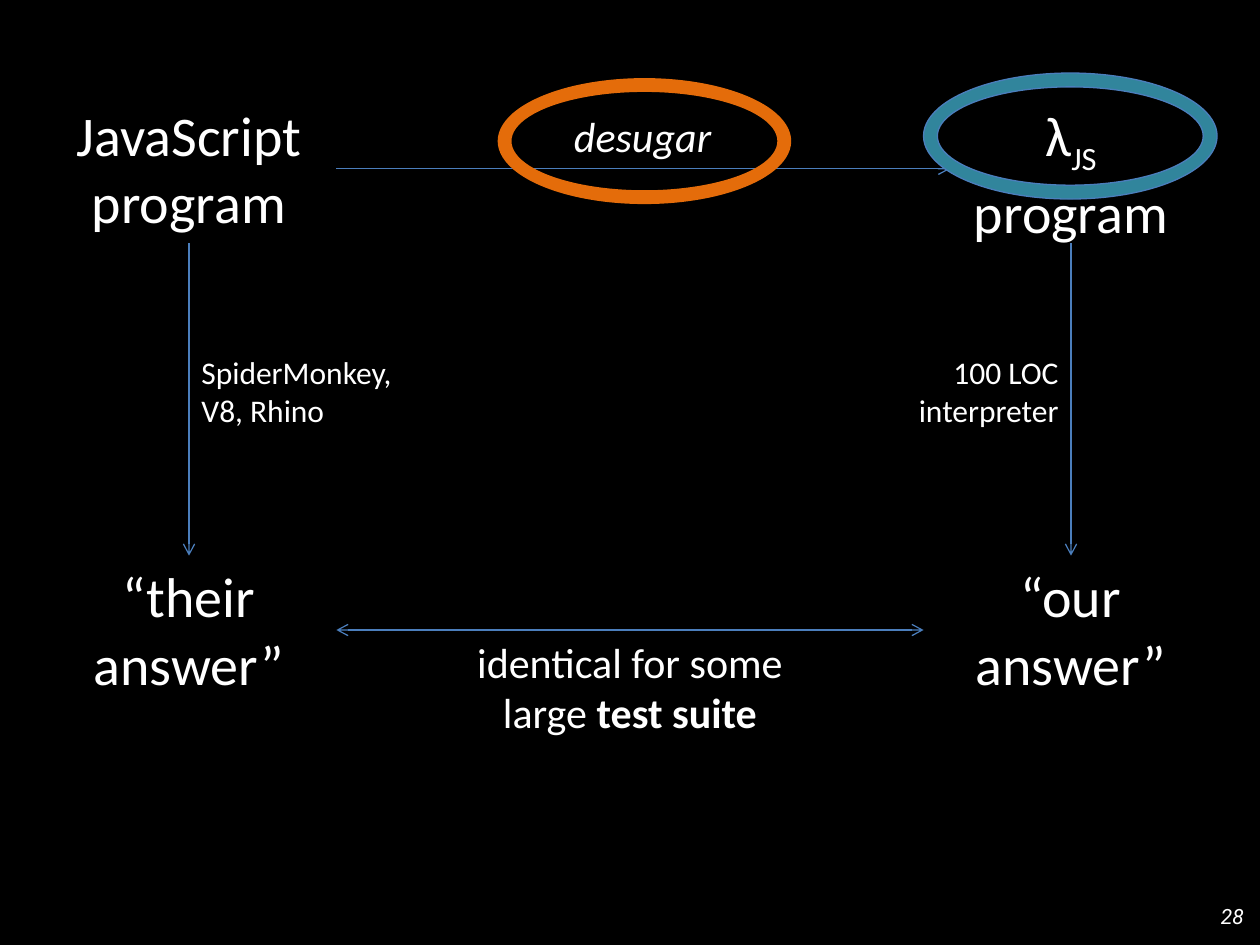
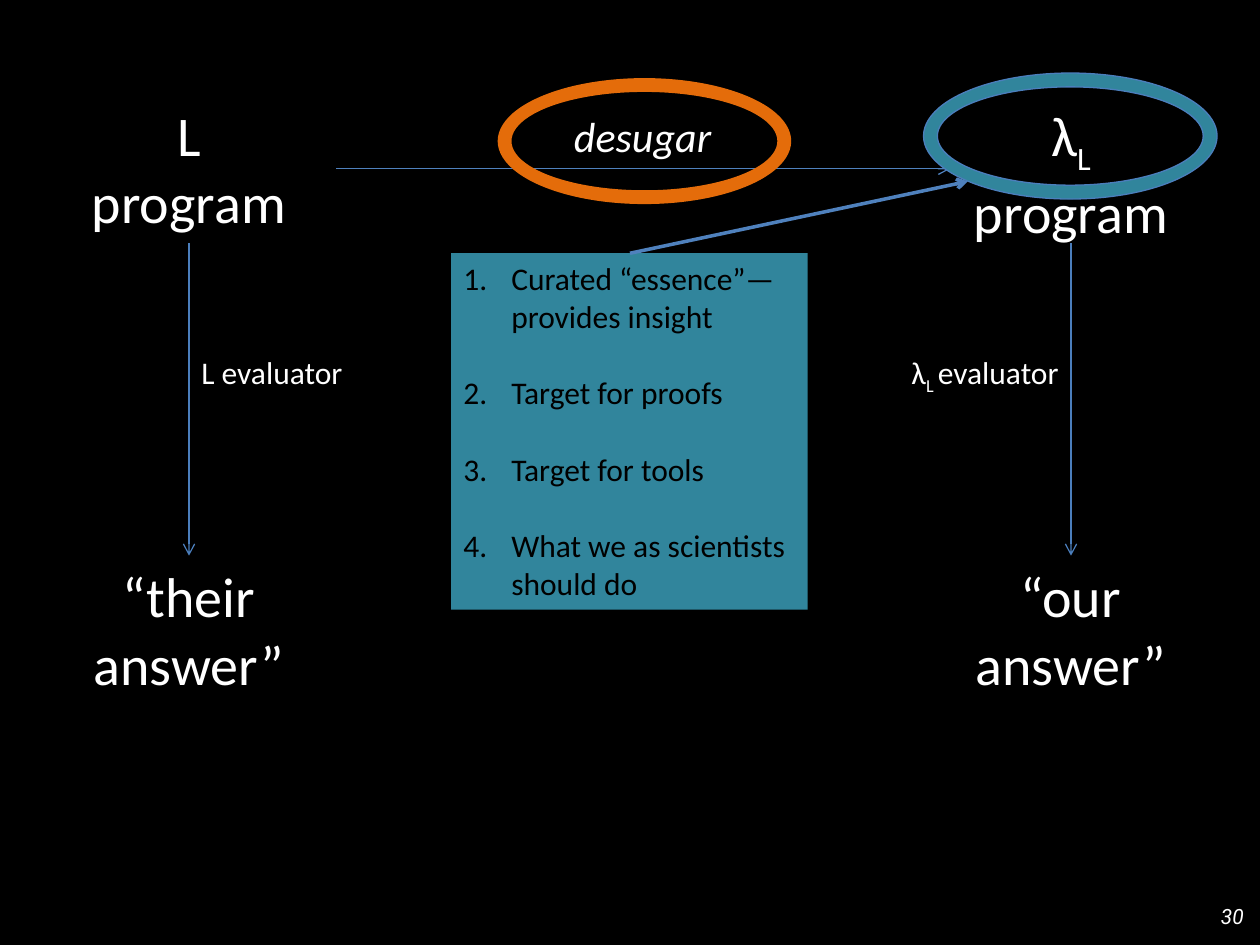
from lxml import etree
from pptx import Presentation
from pptx import util as u
from pptx.dml.color import RGBColor
from pptx.enum import shapes, text
from pptx.oxml.ns import qn

BLACK = RGBColor(0x00, 0x00, 0x00)
WHITE = RGBColor(0xFF, 0xFF, 0xFF)
TEAL = RGBColor(0x31, 0x85, 0x9C)
ORANGE = RGBColor(0xE4, 0x6C, 0x0A)
LINE_BLUE = RGBColor(0x4B, 0x7E, 0xBC)
ACCENT_BLUE = RGBColor(0x4F, 0x81, 0xBD)

LEFT, CENTER, RIGHT = text.PP_ALIGN.LEFT, text.PP_ALIGN.CENTER, text.PP_ALIGN.RIGHT
BREAK = "\n"
SUBSCRIPT = {"subscript": True}

# Columns and rows of the diagram
LEFT_AXIS, RIGHT_AXIS = 1.5, 8.5
NODE_WIDTH, NODE_HEIGHT = 2.33, 1.18
SIDE_LABEL_WIDTH = 1.92
TOP_ROW, BOTTOM_ROW = 0.75, 4.41
LIST_INDENT = 0.38


class Deck:
    """Holds the shared style and the slide being drawn."""

    def __init__(self):
        self.presentation = Presentation()
        self.presentation.slide_width = u.Inches(10)
        self.presentation.slide_height = u.Inches(7.5)
        self.slide = None

    def new_slide(self, number):
        layout = self.presentation.slide_layouts[6]
        self.slide = self.presentation.slides.add_slide(layout)
        fill = self.slide.background.fill
        fill.solid()
        fill.fore_color.rgb = BLACK
        self.text_box((7.64, 7.07, 2.33, 0.4), [(str(number), {"italic": True})], 12, RIGHT,
                      font="Roboto", anchor=text.MSO_ANCHOR.MIDDLE)

    def add_runs(self, paragraph, runs, size, color=WHITE, font="Calibri"):
        """Add runs given as strings, line breaks or (string, style) pairs."""
        for item in runs:
            if item == BREAK:
                paragraph.add_line_break()
                continue
            words, style = (item, {}) if isinstance(item, str) else item
            run = paragraph.add_run()
            run.text = words
            run.font.name, run.font.size = font, u.Pt(size)
            run.font.color.rgb = color
            run.font.bold = style.get("bold")
            run.font.italic = style.get("italic")
            if style.get("subscript"):
                run._r.get_or_add_rPr().set("baseline", "-25000")

    def text_box(self, place, runs, size, align=CENTER, font="Calibri", anchor=text.MSO_ANCHOR.TOP):
        box = self.slide.shapes.add_textbox(*map(u.Inches, place))
        box.text_frame.word_wrap = True
        box.text_frame.vertical_anchor = anchor
        paragraph = box.text_frame.paragraphs[0]
        paragraph.alignment = align
        self.add_runs(paragraph, runs, size, font=font)

    def node(self, axis, top, runs, width=NODE_WIDTH):
        self.text_box((axis - width / 2, top, width, NODE_HEIGHT), runs, 32)

    def arrow(self, start, end, color=LINE_BLUE, width=0.75, both_ends=False):
        connector = self.slide.shapes.add_connector(
            shapes.MSO_CONNECTOR.STRAIGHT, *map(u.Inches, start + end))
        connector.line.color.rgb = color
        connector.line.width = u.Pt(width)
        properties = connector._element.spPr
        line = properties.find(qn("a:ln"))
        for tag in ["a:headEnd", "a:tailEnd"] if both_ends else ["a:tailEnd"]:
            etree.SubElement(line, qn(tag), type="arrow")
        etree.SubElement(properties, qn("a:effectLst"))

    def shape(self, kind, place, fill, outline=None):
        shape = self.slide.shapes.add_shape(kind, *map(u.Inches, place))
        shape.shadow.inherit = False
        shape.fill.solid()
        shape.fill.fore_color.rgb = fill
        if outline is None:
            shape.line.fill.background()
        else:
            shape.line.color.rgb = outline
            shape.line.width = u.Pt(0.75)
        return shape

    def ring(self, left, top, fill, outline=None):
        ring = self.shape(shapes.MSO_SHAPE.DONUT, (left, top, NODE_WIDTH, 1), fill, outline)
        ring.adjustments[0] = 0.11

    def numbered_panel(self, place, items):
        panel = self.shape(shapes.MSO_SHAPE.RECTANGLE, place, TEAL)
        frame = panel.text_frame
        frame.word_wrap = True
        frame.vertical_anchor = text.MSO_ANCHOR.TOP
        for index, item in enumerate(items):
            paragraph = frame.add_paragraph() if index else frame.paragraphs[0]
            paragraph.alignment = LEFT
            if index:
                paragraph.space_before = u.Pt(22)
            properties = paragraph._p.get_or_add_pPr()
            properties.set("marL", str(u.Inches(LIST_INDENT)))
            properties.set("indent", str(-u.Inches(LIST_INDENT)))
            etree.SubElement(properties, qn("a:buFont"), typeface="+mj-lt")
            etree.SubElement(properties, qn("a:buAutoNum"), type="arabicPeriod")
            self.add_runs(paragraph, [item], 18, BLACK)

    def diagram(self, language, core, evaluators, desugar_color):
        """Draw the two program-to-answer columns joined by desugaring."""
        # Programs and answers
        self.node(LEFT_AXIS, TOP_ROW, [language, BREAK, "program"])
        self.node(RIGHT_AXIS, TOP_ROW, ["λ", (core, SUBSCRIPT), BREAK, "program"], SIDE_LABEL_WIDTH)
        for axis, owner in ((LEFT_AXIS, "their"), (RIGHT_AXIS, "our")):
            self.node(axis, BOTTOM_ROW, ["“" + owner, BREAK, "answer”"])
            self.arrow((axis, TOP_ROW + NODE_HEIGHT), (axis, BOTTOM_ROW))

        # Evaluator labels beside the vertical arrows
        sides = ((LEFT_AXIS, LEFT), (RIGHT_AXIS - SIDE_LABEL_WIDTH, RIGHT))
        for (left, align), runs in zip(sides, evaluators):
            self.text_box((left, 2.75, SIDE_LABEL_WIDTH, 0.71), runs, 18, align)

        # Desugaring step and highlight rings
        self.arrow((2.67, 1.34), (7.54, 1.34), desugar_color)
        self.text_box((4.35, 0.83, 1.5, 0.5), [("desugar", {"italic": True})], 24)
        self.ring(7.33, 0.58, TEAL, LINE_BLUE)
        self.ring(3.95, 0.62, ORANGE)


def main():
    deck = Deck()

    # JavaScript: answers compared by testing
    deck.new_slide(28)
    deck.diagram("JavaScript", "JS", (["SpiderMonkey, V8, Rhino"], ["100 LOC interpreter"]), LINE_BLUE)
    deck.arrow((2.67, 5), (7.33, 5), both_ends=True)
    deck.text_box((3, 5, 4, 0.91),
                  ["identical for some", BREAK, "large ", ("test suite", {"bold": True})], 24)

    # Any language L: what the core calculus is good for
    deck.new_slide(30)
    deck.diagram("L", "L", (["L evaluator"], ["λ", ("L ", SUBSCRIPT), "evaluator"]), ACCENT_BLUE)
    deck.numbered_panel((3.58, 2.01, 2.83, 2.83), [
        "Curated “essence”—provides insight",
        "Target for proofs",
        "Target for tools",
        "What we as scientists should do",
    ])
    deck.arrow((5, 2.01), (7.68, 1.44), ACCENT_BLUE, 2)

    deck.presentation.save("out.pptx")


if __name__ == "__main__":
    main()
